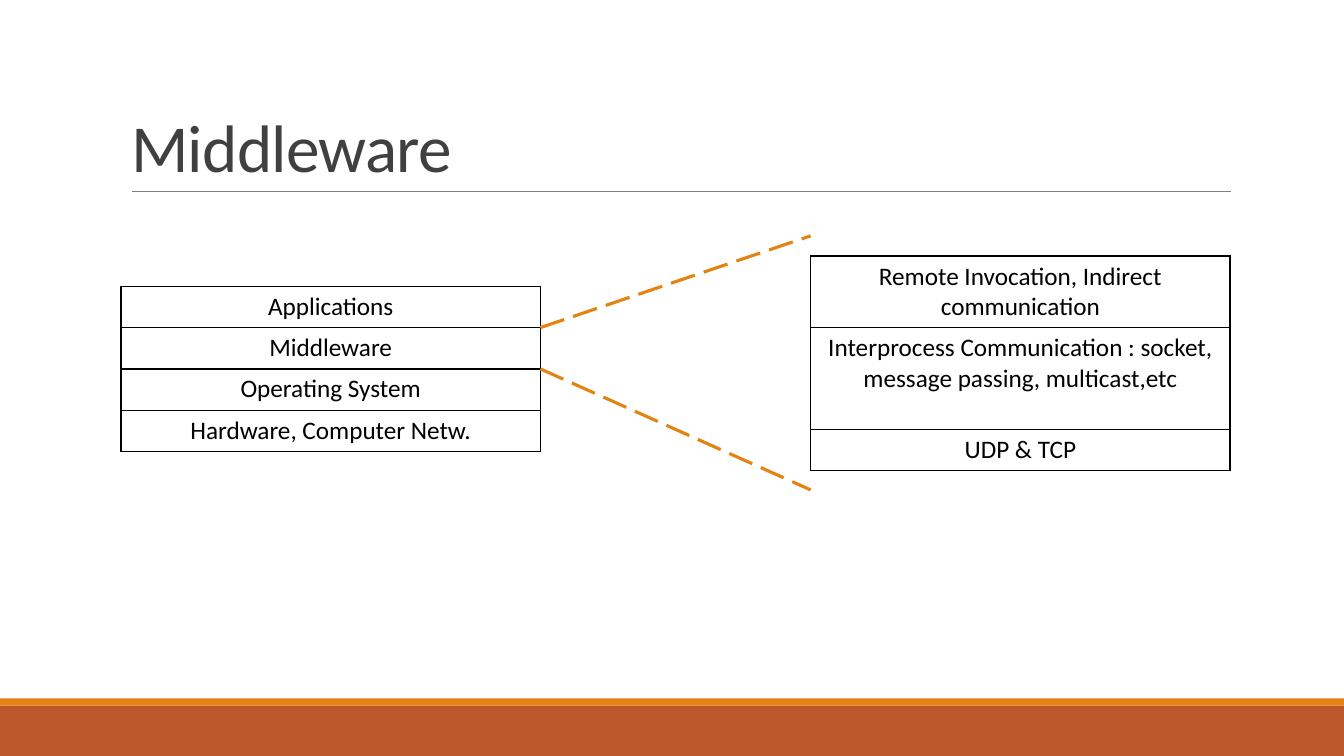
from lxml.etree import SubElement
from pptx import Presentation
from pptx.dml.color import RGBColor
from pptx.enum.dml import MSO_LINE_DASH_STYLE as DASH
from pptx.enum.shapes import MSO_CONNECTOR, MSO_SHAPE
from pptx.enum.text import MSO_ANCHOR, PP_ALIGN
from pptx.oxml.ns import qn
from pptx.util import Inches, Pt

FONT = "Calibri"
ORANGE = "E48312"
RUST = "BD582C"
LAYER_WIDTH = 4.16
LAYER_HEIGHT = 0.41
STACK_LEFT, STACK_TOP = 1.2, 2.84
DETAIL_LEFT, DETAIL_TOP = 8.04, 2.54


def rgb(code):
    return RGBColor.from_string(code)


def add_run(paragraph, text, size, color):
    run = paragraph.add_run()
    run.text = text
    run.font.name = FONT
    run.font.size = Pt(size)
    run.font.color.rgb = rgb(color)
    return run


def add_band(slide, top, height, color):
    band = slide.shapes.add_shape(
        MSO_SHAPE.RECTANGLE, 0, Inches(top), Inches(13.33), Inches(height))
    band.shadow.inherit = False
    band.fill.solid()
    band.fill.fore_color.rgb = rgb(color)
    band.line.fill.background()


def add_line(slide, start, end, color, width, dash=None):
    line = slide.shapes.add_connector(
        MSO_CONNECTOR.STRAIGHT, *(Inches(v) for v in start + end))
    line.line.color.rgb = rgb(color)
    line.line.width = Pt(width)
    if dash:
        line.line.dash_style = dash
    SubElement(line._element.spPr, qn("a:effectLst"))


def set_title(slide, text):
    title = slide.shapes.title
    title.left, title.top = Inches(1.2), Inches(0.31)
    title.width, title.height = Inches(11), Inches(1.59)
    frame = title.text_frame
    frame.vertical_anchor = MSO_ANCHOR.BOTTOM
    paragraph = frame.paragraphs[0]
    paragraph.alignment = PP_ALIGN.LEFT
    paragraph.line_spacing = 0.85
    run = add_run(paragraph, text, 48, "404040")
    run.font._element.set("spc", "-50")


def add_borders(cell):
    properties = cell._tc.get_or_add_tcPr()
    for side in ("lnL", "lnR", "lnT", "lnB"):
        border = SubElement(properties, qn(f"a:{side}"), w=str(Pt(1)))
        fill = SubElement(border, qn("a:solidFill"))
        SubElement(fill, qn("a:srgbClr"), val="000000")


def add_layers(slide, left, top, layers):
    """Add a one-column table from (text, height) pairs."""
    total = sum(height for _, height in layers)
    table = slide.shapes.add_table(
        len(layers), 1, Inches(left), Inches(top),
        Inches(LAYER_WIDTH), Inches(total)).table
    table.first_row = table.horz_banding = False
    for row, (text, height) in zip(table.rows, layers):
        row.height = Inches(height)
        cell = row.cells[0]
        add_borders(cell)
        cell.fill.background()
        paragraph = cell.text_frame.paragraphs[0]
        paragraph.alignment = PP_ALIGN.CENTER
        add_run(paragraph, text, 18, "000000")


def main():
    prs = Presentation()
    prs.slide_width, prs.slide_height = Inches(13.33), Inches(7.5)
    slide = prs.slides.add_slide(prs.slide_layouts[5])

    # Footer bands, title and its rule
    add_band(slide, 7, 0.5, RUST)
    add_band(slide, 6.93, 0.07, ORANGE)
    add_line(slide, (1.31, 1.9), (12.21, 1.9), "808080", 0.5)
    set_title(slide, "Middleware")

    # System stack
    stack = ("Applications", "Middleware", "Operating System",
             "Hardware, Computer Netw.")
    add_layers(slide, STACK_LEFT, STACK_TOP,
               [(name, LAYER_HEIGHT) for name in stack])

    # Middleware layers in detail
    add_layers(slide, DETAIL_LEFT, DETAIL_TOP, [
        ("Remote Invocation, Indirect communication", 0.71),
        ("Interprocess Communication : socket, message passing, "
         "multicast,etc", 1.01),
        ("UDP & TCP", LAYER_HEIGHT),
    ])

    # Dashed lines that expand the middleware row
    stack_right = STACK_LEFT + LAYER_WIDTH
    for edge, detail_y in ((1, 2.34), (2, 4.86)):
        add_line(slide, (stack_right, STACK_TOP + edge * LAYER_HEIGHT),
                 (DETAIL_LEFT, detail_y), ORANGE, 2.25, DASH.LONG_DASH)

    prs.save("out.pptx")


if __name__ == "__main__":
    main()
